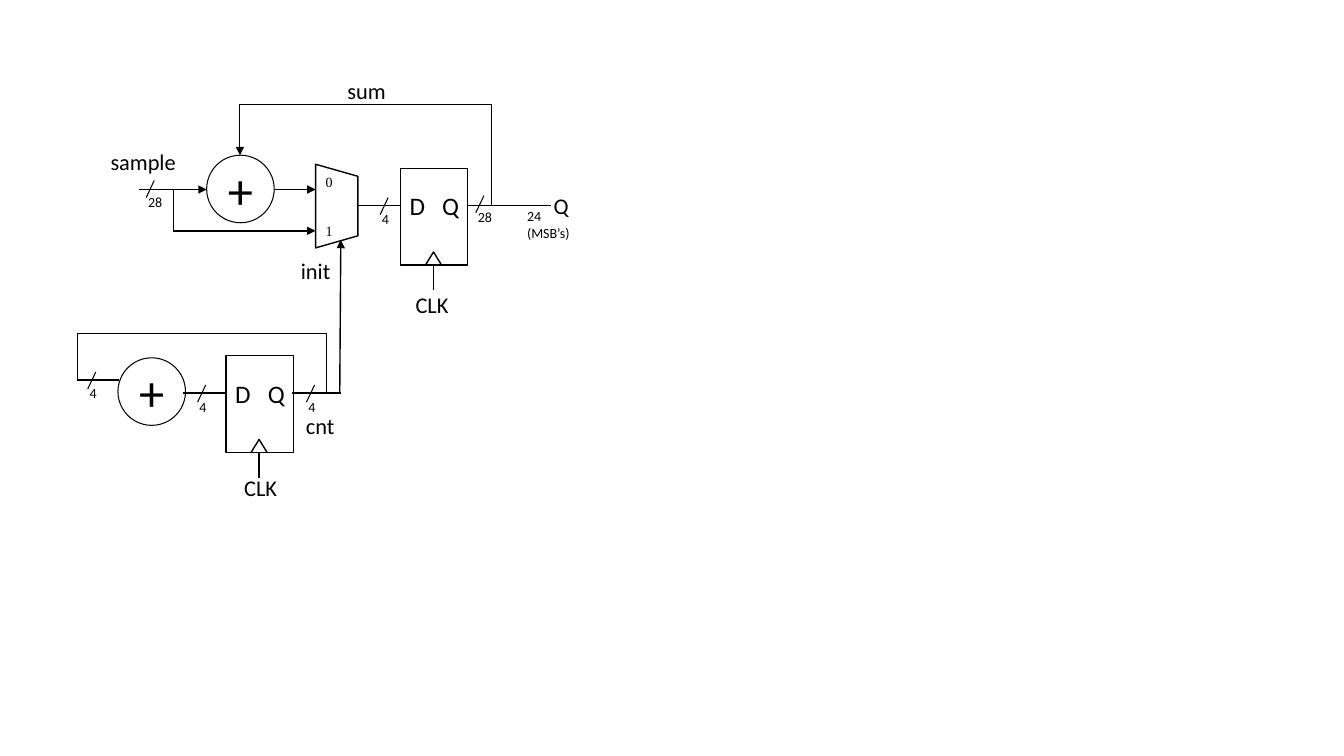
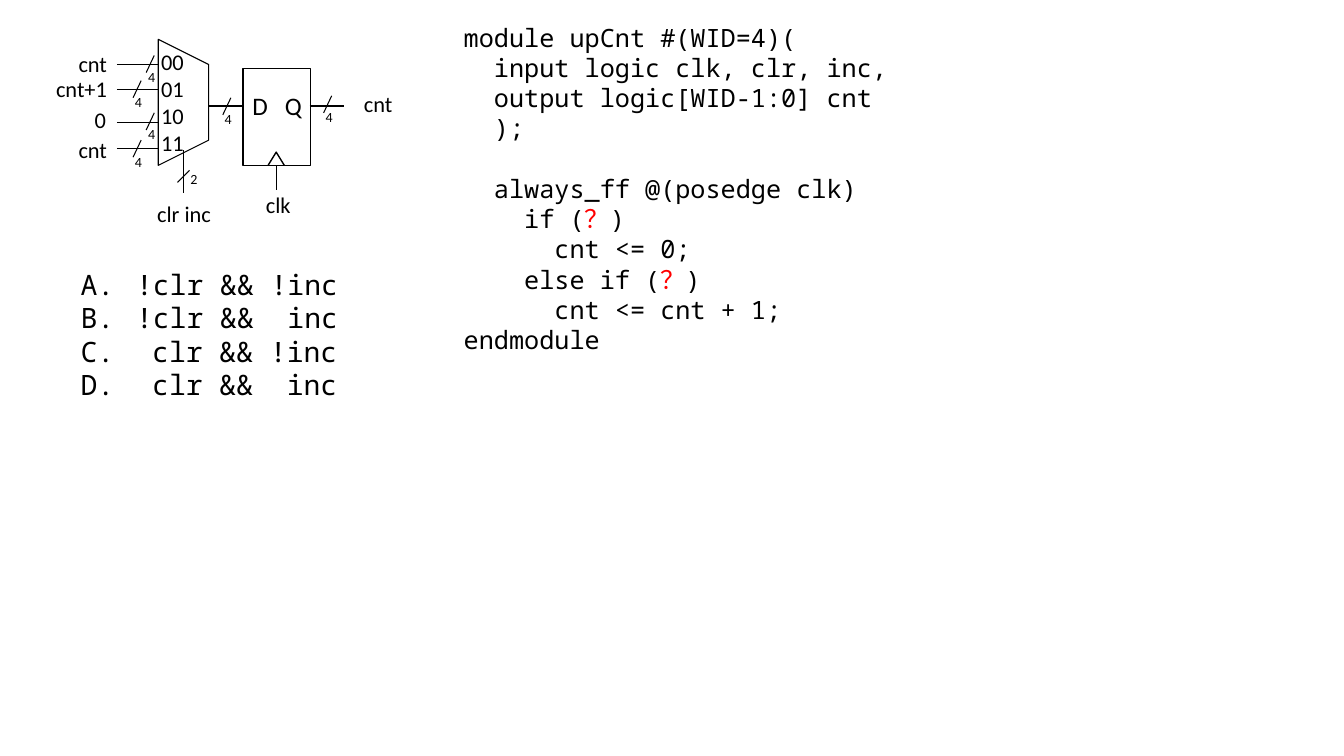
from dataclasses import dataclass
from typing import Sequence

from lxml import etree
from pptx import Presentation
from pptx import util as u
from pptx.dml import color
from pptx.enum import shapes, text
from pptx.oxml import ns
from pptx.slide import Slide

COLORS = {"ink": "000000", "paper": "FFFFFF", "blank": "FF0000"}
SANS, SERIF, MONO = "Calibri", "Times New Roman", "Noto Sans Mono"
LEFT, CENTER, RIGHT = text.PP_ALIGN.LEFT, text.PP_ALIGN.CENTER, text.PP_ALIGN.RIGHT
GAP_MARK = "？"
CODE_STEP = 0.3
CODE_LINE = 21.6
Point = tuple[float, float]


@dataclass(frozen=True)
class Label:
    words: str
    x: float
    y: float
    w: float
    h: float = 0.37
    size: float = 16
    align: text.PP_ALIGN = CENTER
    font: str = SANS


@dataclass(frozen=True)
class Wire:
    start: Point
    end: Point
    weight: float = 1
    arrow: bool = False


@dataclass(frozen=True)
class Bus:
    bits: str
    x: float
    y: float


@dataclass(frozen=True)
class Flop:
    x: float
    y: float
    output: float = 0.34


@dataclass(frozen=True)
class Mux:
    x: float
    y: float
    w: float
    h: float
    drop: float
    weight: float


def rgb(name: str) -> color.RGBColor:
    return color.RGBColor.from_string(COLORS[name])


def write(frame, words: str, *, size: float = 16, font: str = SANS,
          align: text.PP_ALIGN = LEFT, middle: bool = False,
          wrap: bool = False, fit: bool = True) -> None:
    frame.word_wrap = wrap
    frame.auto_size = text.MSO_AUTO_SIZE.SHAPE_TO_FIT_TEXT if fit else text.MSO_AUTO_SIZE.NONE
    frame.vertical_anchor = text.MSO_ANCHOR.MIDDLE if middle else text.MSO_ANCHOR.TOP
    for index, line in enumerate(words.split("\n")):
        paragraph = frame.paragraphs[0] if index == 0 else frame.add_paragraph()
        paragraph.alignment = align
        paragraph.space_before = u.Pt(0)
        for part in filter(None, line.partition(GAP_MARK)):
            run = paragraph.add_run()
            run.text = part
            run.font.size = u.Pt(size)
            run.font.name = font
            run.font.color.rgb = rgb("blank" if part == GAP_MARK else "ink")


def indent(paragraph, margin: float, first: float = 0):
    props = paragraph._p.get_or_add_pPr()
    props.set("marL", str(u.Inches(margin)))
    props.set("indent", str(u.Inches(first)))
    return props


def add_label(slide: Slide, label: Label, **style):
    box = slide.shapes.add_textbox(*map(u.Inches, (label.x, label.y, label.w, label.h)))
    write(box.text_frame, label.words, size=label.size, font=label.font,
          align=label.align, **style)
    return box


def ink_line(shape, weight: float, arrow: bool = False) -> None:
    shape.line.color.rgb = rgb("ink")
    shape.line.width = u.Pt(weight)
    if arrow:
        outline = shape._element.spPr.find(ns.qn("a:ln"))
        etree.SubElement(outline, ns.qn("a:tailEnd"), type="triangle")


def add_wire(slide: Slide, wire: Wire) -> None:
    line = slide.shapes.add_connector(
        shapes.MSO_CONNECTOR.STRAIGHT, *map(u.Inches, (*wire.start, *wire.end)))
    ink_line(line, wire.weight, wire.arrow)
    etree.SubElement(line._element.spPr, ns.qn("a:effectLst"))


def add_outline(slide: Slide, points: Sequence[Point], weight: float = 1, *,
                close: bool = False, arrow: bool = False) -> None:
    corners = [(u.Inches(x), u.Inches(y)) for x, y in points]
    builder = slide.shapes.build_freeform(*corners[0])
    builder.add_line_segments(corners[1:], close=close)
    outline = builder.convert_to_shape()
    outline.shadow.inherit = False
    outline.fill.background()
    ink_line(outline, weight, arrow)


def add_block(slide: Slide, kind: shapes.MSO_SHAPE, x: float, y: float,
              w: float, h: float, weight: float):
    block = slide.shapes.add_shape(kind, *map(u.Inches, (x, y, w, h)))
    block.shadow.inherit = False
    block.fill.solid()
    block.fill.fore_color.rgb = rgb("paper")
    ink_line(block, weight)
    return block


def add_adder(slide: Slide, x: float, y: float) -> None:
    adder = add_block(slide, shapes.MSO_SHAPE.OVAL, x, y, 0.67, 0.67, 0.75)
    write(adder.text_frame, "+", size=36, align=CENTER, middle=True, fit=False)


def add_flop(slide: Slide, flop: Flop) -> None:
    x, y = flop.x, flop.y
    port_y, bottom = y + 0.37, y + 0.96
    add_block(slide, shapes.MSO_SHAPE.RECTANGLE, x, y, 0.67, 0.96, 1)
    for port, offset in (("D", 0.17), ("Q", 0.5)):
        add_label(slide, Label(port, x + offset - 0.19, port_y - 0.2, 0.38, 0.4, 18))
    add_outline(slide, [(x + 0.25, bottom), (x + 0.33, y + 0.83), (x + 0.41, bottom)])
    for start, end in (((x + 0.33, bottom), (x + 0.33, bottom + 0.25)),
                       ((x - 0.34, port_y), (x, port_y)),
                       ((x + 0.66, port_y), (x + 0.66 + flop.output, port_y))):
        add_wire(slide, Wire(start, end))


def add_mux(slide: Slide, mux: Mux) -> None:
    right, bottom = mux.x + mux.w, mux.y + mux.h
    add_outline(slide, [(mux.x, mux.y), (right, mux.y + mux.drop),
                        (right, bottom - mux.drop), (mux.x, bottom)],
                mux.weight, close=True)


def add_bus(slide: Slide, bus: Bus) -> None:
    add_wire(slide, Wire((bus.x + 0.08, bus.y), (bus.x, bus.y + 0.17), 0.75))
    add_label(slide, Label(bus.bits, bus.x - 0.08, bus.y + 0.08,
                           0.21 + 0.07 * len(bus.bits), 0.27, 10, LEFT))


def add_parts(slide: Slide, wires: Sequence[Wire], buses: Sequence[Bus],
              labels: Sequence[Label]) -> None:
    for wire in wires:
        add_wire(slide, wire)
    for bus in buses:
        add_bus(slide, bus)
    for label in labels:
        add_label(slide, label)


def build_accumulator(deck) -> None:
    slide = deck.slides.add_slide(deck.slide_layouts[6])
    add_flop(slide, Flop(3.97, 1.67, 0.84))
    add_flop(slide, Flop(2.24, 3.53))
    add_mux(slide, Mux(3.13, 1.63, 0.42, 0.83, 0.12, 1))
    add_adder(slide, 2.05, 1.54)
    add_adder(slide, 1.17, 3.55)
    add_outline(slide, [(4.88, 2.04), (4.88, 1.04), (2.38, 1.04), (2.38, 1.54)],
                0.75, arrow=True)
    add_outline(slide, [(3.24, 3.9), (3.24, 3.31), (0.77, 3.31), (0.77, 3.77)])
    wires = [
        Wire((2.72, 1.88), (3.13, 1.88), arrow=True),
        Wire((3.55, 2.04), (3.97, 2.04)),
        Wire((3.37, 3.9), (3.38, 2.38), arrow=True),
        Wire((1.38, 1.88), (2.05, 1.88), arrow=True),
        Wire((1.72, 1.88), (1.72, 2.29)),
        Wire((1.72, 2.29), (3.13, 2.29), arrow=True),
        Wire((0.76, 3.77), (1.18, 3.77)),
        Wire((1.82, 3.9), (2.24, 3.9)),
        Wire((3.24, 3.9), (3.38, 3.9)),
    ]
    buses = [Bus("28", 4.72, 1.94), Bus("4", 3.77, 1.96), Bus("28", 1.45, 1.79),
             Bus("4", 1.96, 3.82), Bus("4", 3.04, 3.82), Bus("4", 0.87, 3.69)]
    labels = [
        Label("Q", 5.36, 1.86, 0.38, align=RIGHT),
        Label("CLK", 3.97, 2.84, 0.63),
        Label("init", 2.88, 2.5, 0.5),
        Label("sample", 0.99, 1.42, 0.86),
        Label("sum", 3.34, 0.72, 0.59),
        Label("24\n(MSB’s)", 5.13, 2.01, 0.64, 0.44, 10, LEFT),
        Label("CLK", 2.27, 4.65, 0.63),
        Label("cnt", 2.93, 4.04, 0.49),
    ]
    add_parts(slide, wires, buses, labels)
    selects = add_label(slide, Label("0\n1", 3.13, 1.63, 0.42, 0.83, 10, LEFT, SERIF),
                        middle=True, fit=False)
    selects.text_frame.paragraphs[1].space_before = u.Pt(23)


def add_choices(slide: Slide) -> None:
    slide.shapes.title._element.getparent().remove(slide.shapes.title._element)
    choices = slide.placeholders[1]
    choices.left, choices.top, choices.width, choices.height = map(
        u.Inches, (0.7, 2.6, 2.98, 1.5))
    answers = "!clr && !inc", "!clr &&  inc", "clr && !inc", "clr &&  inc"
    write(choices.text_frame, "\n".join(answers), size=20, font=MONO, wrap=True, fit=False)
    for paragraph, answer in zip(choices.text_frame.paragraphs, answers):
        hang = 0.55 if answer.startswith("!") else 0.71
        props = indent(paragraph, hang, -hang)
        etree.SubElement(props, ns.qn("a:buFont"), typeface="+mj-lt")
        etree.SubElement(props, ns.qn("a:buAutoNum"), type="alphaUcPeriod")


def add_code(slide: Slide) -> None:
    lines = [
        (0, "module upCnt #(WID=4)("),
        (1, "input logic clk, clr, inc,"),
        (1, "output logic[WID-1:0] cnt"),
        (1, ");"),
        (1, "always_ff @(posedge clk)"),
        (2, "if (？)"),
        (3, "cnt <= 0;"),
        (2, "else if (？)"),
        (3, "cnt <= cnt + 1;"),
        (0, "endmodule"),
    ]
    code = add_label(slide, Label("\n".join(line for _, line in lines),
                                  4.5, 0.17, 4.42, 3.43, 18, LEFT, MONO))
    for paragraph, (level, line) in zip(code.text_frame.paragraphs, lines):
        indent(paragraph, level * CODE_STEP)
        if line.startswith("always_ff"):
            paragraph.space_before = u.Pt(CODE_LINE)


def build_counter_quiz(deck) -> None:
    slide = deck.slides.add_slide(deck.slide_layouts[1])
    add_choices(slide)
    add_flop(slide, Flop(2.41, 0.68))
    add_mux(slide, Mux(1.57, 0.39, 0.5, 1.25, 0.25, 0.75))
    wires = [Wire((1.16, y), (1.57, y), 0.75) for y in (0.64, 0.89, 1.22, 1.47)]
    wires += [Wire((1.82, 1.49), (1.82, 1.91), 0.75),
              Wire((1.88, 1.69), (1.76, 1.81), 0.75)]
    buses = [Bus("4", x, y) for x, y in (
        (3.21, 0.95), (2.21, 0.97), (1.45, 0.55), (1.32, 0.8), (1.45, 1.12), (1.32, 1.39))]
    labels = [
        Label("cnt", 3.49, 0.85, 0.5, align=RIGHT),
        Label("clk", 2.51, 1.85, 0.5),
        Label("clr inc", 1.43, 1.94, 0.79),
        Label("cnt", 0.66, 0.45, 0.5, align=RIGHT),
        Label("cnt+1", 0.4, 0.7, 0.76, align=RIGHT),
        Label("0", 0.83, 1, 0.32, align=RIGHT),
        Label("cnt", 0.66, 1.3, 0.5, align=RIGHT),
        Label("2", 1.79, 1.64, 0.28, 0.27, 10, LEFT),
    ]
    add_parts(slide, wires, buses, labels)
    add_label(slide, Label("00\n01\n10\n11", 1.5, 0.43, 0.92, 1.18, align=LEFT), wrap=True)
    add_code(slide)


def main() -> None:
    deck = Presentation()
    deck.slide_width, deck.slide_height = u.Inches(13.33), u.Inches(7.5)
    build_accumulator(deck)
    build_counter_quiz(deck)
    deck.save("out.pptx")


if __name__ == "__main__":
    main()
